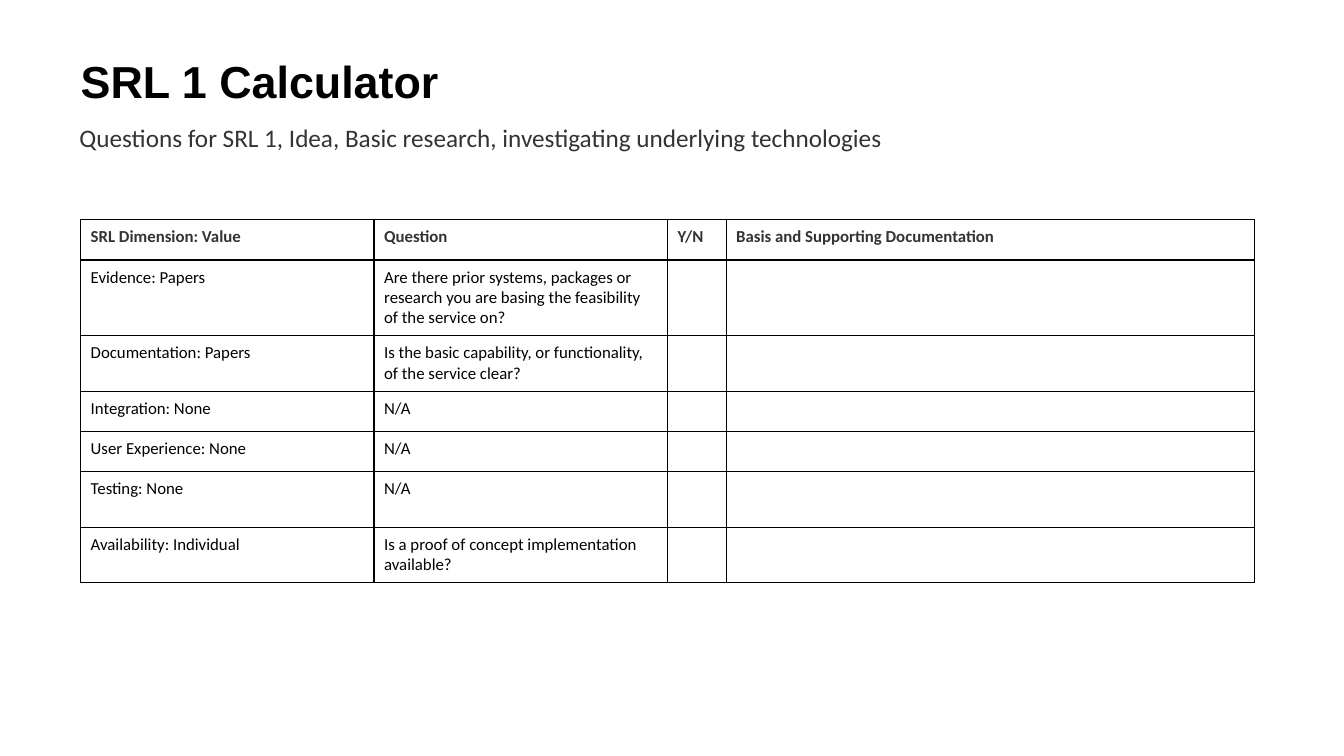
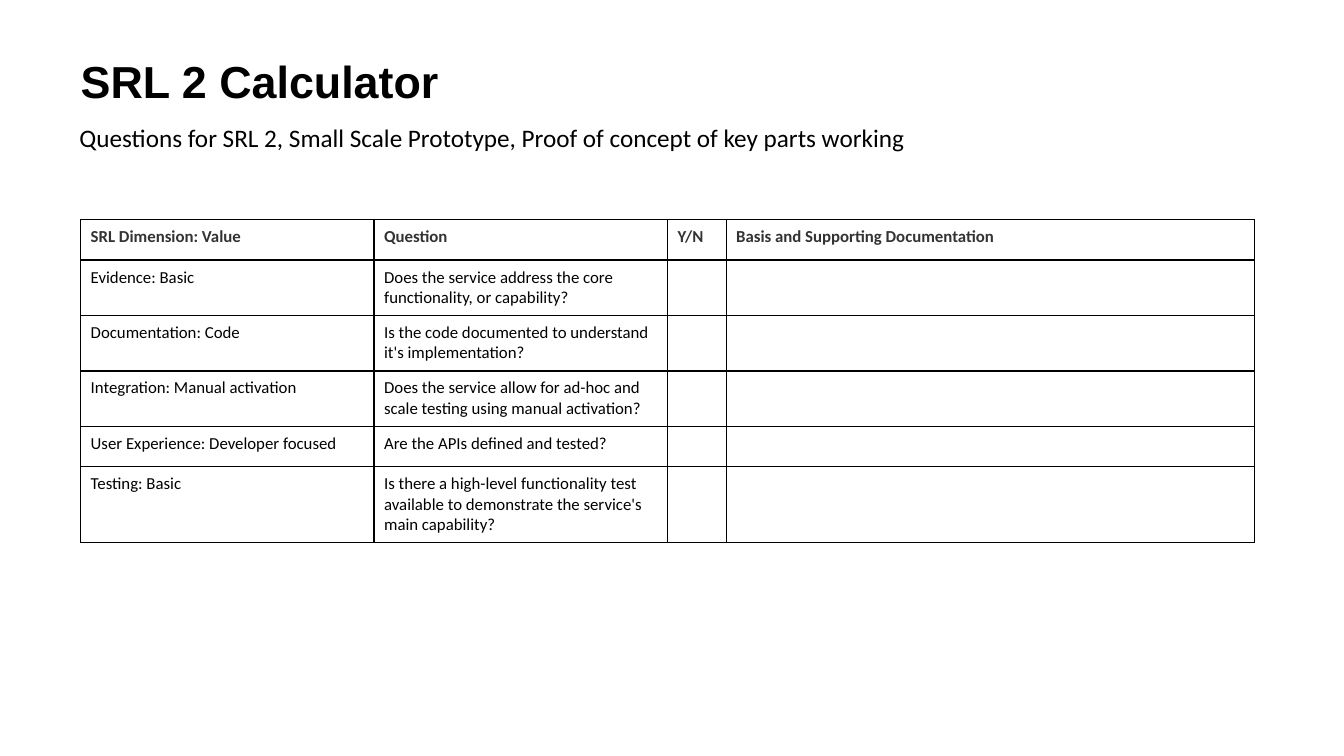
from dataclasses import dataclass

from lxml.etree import SubElement
from pptx import Presentation
from pptx.dml.color import RGBColor
from pptx.enum.text import MSO_ANCHOR
from pptx.oxml.ns import qn
from pptx.util import Inches, Pt


@dataclass(frozen=True)
class Theme:
    black: str = "000000"
    gray: str = "333333"
    title_font: str = "Arial"
    body_font: str = "Calibri"
    title_size: int = 32
    subtitle_size: int = 18
    table_size: int = 12
    border_width: int = 1


THEME = Theme()
TITLE_BOX = (0.8, 0.53, 11.72, 0.62)
SUBTITLE_BOX = (0.69, 1.16, 10.93, 0.4)
TABLE_BOX = (0.8, 2.18, 11.64)
COLUMN_SHARES = (0.25, 0.25, 0.05, 0.45)
LINE_HEIGHTS = {1: 0.4, 2: 0.55, 3: 0.75}
HEADINGS = ("SRL Dimension: Value", "Question", "Y/N", "Basis and Supporting Documentation")

CALCULATORS = (
    (
        "SRL 1 Calculator",
        "Questions for SRL 1, Idea, Basic research, investigating underlying technologies",
        THEME.gray,
        (
            ("Evidence: Papers", "Are there prior systems, packages or research you are basing the feasibility of the service on?", 3),
            ("Documentation: Papers", "Is the basic capability, or functionality, of the service clear?", 2),
            ("Integration: None", "N/A", 1),
            ("User Experience: None", "N/A", 1),
            ("Testing: None", "N/A", 2),
            ("Availability: Individual", "Is a proof of concept implementation available?", 2),
        ),
    ),
    (
        "SRL 2 Calculator",
        "Questions for SRL 2, Small Scale Prototype, Proof of concept of key parts working",
        THEME.black,
        (
            ("Evidence: Basic", "Does the service address the core functionality, or capability?", 2),
            ("Documentation: Code", "Is the code documented to understand it's implementation?", 2),
            ("Integration: Manual activation", "Does the service allow for ad-hoc and scale testing using manual activation?", 2),
            ("User Experience: Developer focused", "Are the APIs defined and tested?", 1),
            ("Testing: Basic", "Is there a high-level functionality test available to demonstrate the service's main capability?", 3),
        ),
    ),
)


def write(frame, text, font_name, size, color, bold=False):
    paragraph = frame.paragraphs[0]
    paragraph.text = text
    font = paragraph.font
    font.name, font.size, font.bold = font_name, Pt(size), bold
    font.color.rgb = RGBColor.from_string(color)


def set_margins(holder, left, top, right, bottom):
    holder.margin_left, holder.margin_top = Inches(left), Inches(top)
    holder.margin_right, holder.margin_bottom = Inches(right), Inches(bottom)


def add_text_frame(slide, box):
    frame = slide.shapes.add_textbox(*map(Inches, box)).text_frame
    frame.word_wrap = True
    return frame


def add_title(slide, box, text):
    frame = add_text_frame(slide, box)
    set_margins(frame, 0, 0, 0, 0.08)
    frame.vertical_anchor = MSO_ANCHOR.MIDDLE
    write(frame, text, THEME.title_font, THEME.title_size, THEME.black, True)


def add_subtitle(slide, box, text, color):
    write(add_text_frame(slide, box), text, THEME.body_font, THEME.subtitle_size, color)


def add_borders(cell):
    properties = cell._tc.get_or_add_tcPr()
    for position, side in enumerate(("a:lnL", "a:lnR", "a:lnT", "a:lnB")):
        line = SubElement(properties, qn(side), w=str(Pt(THEME.border_width)))
        fill = SubElement(line, qn("a:solidFill"))
        SubElement(fill, qn("a:srgbClr"), val=THEME.black)
        properties.insert(position, line)


def format_cell(cell, text, is_heading):
    set_margins(cell, 0.1, 0.07, 0.16 if is_heading else 0.1, 0.07)
    color = THEME.gray if is_heading else THEME.black
    write(cell.text_frame, text, THEME.body_font, THEME.table_size, color, is_heading)
    cell.fill.background()
    add_borders(cell)


def add_question_table(slide, box, questions):
    left, top, width = box
    heights = [LINE_HEIGHTS[lines] for lines in (1, *(question[2] for question in questions))]
    rows = [HEADINGS] + [(dimension, question, "", "") for dimension, question, _ in questions]
    table = slide.shapes.add_table(
        len(rows), len(HEADINGS), Inches(left), Inches(top), Inches(width), Inches(sum(heights))
    ).table
    table.first_row = table.horz_banding = False
    for column, share in zip(table.columns, COLUMN_SHARES):
        column.width = Inches(width * share)
    for index, (row, height, texts) in enumerate(zip(table.rows, heights, rows)):
        row.height = Inches(height)
        for cell, text in zip(row.cells, texts):
            format_cell(cell, text, index == 0)


def add_calculator_slide(presentation, title, subtitle, subtitle_color, questions):
    slide = presentation.slides.add_slide(presentation.slide_layouts[6])
    add_title(slide, TITLE_BOX, title)
    add_question_table(slide, TABLE_BOX, questions)
    add_subtitle(slide, SUBTITLE_BOX, subtitle, subtitle_color)


def main():
    presentation = Presentation()
    presentation.slide_width, presentation.slide_height = Inches(13.33), Inches(7.5)
    for calculator in CALCULATORS:
        add_calculator_slide(presentation, *calculator)
    presentation.save("out.pptx")


if __name__ == "__main__":
    main()
